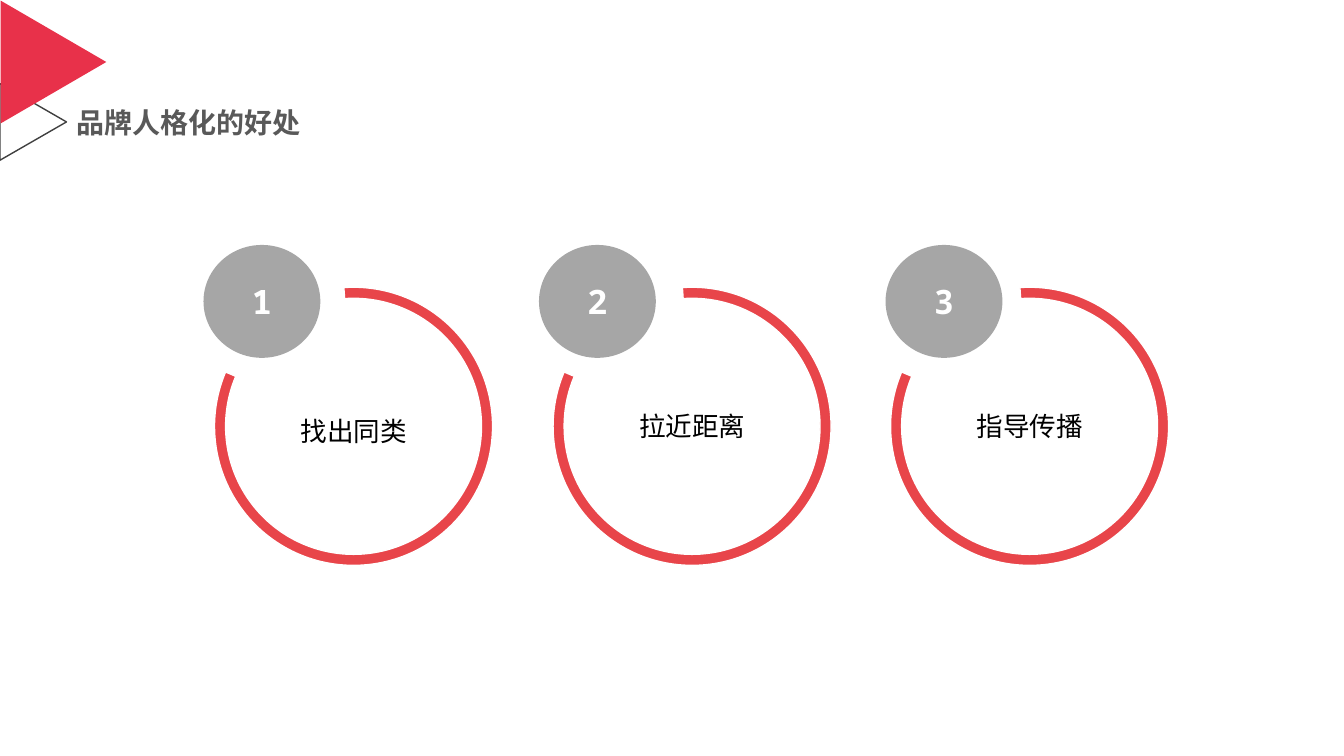
from lxml import etree
from pptx import Presentation
from pptx import util as u
from pptx.dml.color import RGBColor
from pptx.enum import shapes, text
from pptx.oxml.ns import qn

PX = 9144  # 100 px to the inch
DEGREE = 0.6  # one degree as a python-pptx adjustment value
RING_RED, MARK_RED = "E8454A", "E8314A"
GREY, WHITE, BLACK = "A6A6A6", "FFFFFF", "000000"

# number, left of badge, left of ring, label, label font, line spacing
BENEFITS = [
    ("1", 202, 213, "找出同类", "Lato", 1.3),
    ("2", 535, 549, "拉近距离", "Arial Narrow", 1.0),
    ("3", 879, 884, "指导传播", "Arial Narrow", 1.0),
]


def px(*lengths):
    return [u.Emu(length * PX) for length in lengths]


def rgb(value):
    return RGBColor.from_string(value)


def style(shape, fill=None, line=None):
    shape.shadow.inherit = False
    if fill:
        shape.fill.solid()
        shape.fill.fore_color.rgb = rgb(fill)
    else:
        shape.fill.background()
    if line:
        shape.line.color.rgb = rgb(line)
        shape.line.width = u.Pt(1)
    else:
        shape.line.fill.background()


def write(shape, words, font, size, color, bold=False, spacing=1.0,
          align=text.PP_ALIGN.CENTER, inset=(0, 0), wrap=True):
    """Fill a shape with one paragraph; inset is (sides, top and bottom)."""
    frame = shape.text_frame
    frame.word_wrap = wrap
    frame.vertical_anchor = text.MSO_ANCHOR.MIDDLE
    frame.margin_left = frame.margin_right = px(inset[0])[0]
    frame.margin_top = frame.margin_bottom = px(inset[1])[0]
    para = frame.paragraphs[0]
    para.text = words
    para.alignment = align
    para.line_spacing = spacing
    para.font.name = font
    para.font.size = u.Pt(size)
    para.font.bold = bold
    para.font.color.rgb = rgb(color)
    latin = para._p.pPr.find(qn("a:defRPr")).find(qn("a:latin"))
    east_asian = etree.Element(qn("a:ea"), typeface=font)
    latin.addnext(east_asian)


def add_triangle(page, left, top, width, height, **look):
    """Add a triangle that points right."""
    triangle = page.shapes.add_shape(
        shapes.MSO_SHAPE.ISOSCELES_TRIANGLE, *px(left, top, width, height))
    triangle.rotation = 90
    style(triangle, **look)


def add_title(page, words):
    title = page.shapes.title
    title.left, title.top, title.width, title.height = px(71, 103, 235, 41)
    write(title, words, "Noto Sans CJK SC", 20, "595959", bold=True,
          spacing=0.9, align=text.PP_ALIGN.LEFT, inset=(5, 5), wrap=False)
    title.text_frame.auto_size = text.MSO_AUTO_SIZE.SHAPE_TO_FIT_TEXT


def add_badge(page, left, number):
    badge = page.shapes.add_shape(
        shapes.MSO_SHAPE.OVAL, *px(left, 243, 116, 112))
    style(badge, fill=GREY)
    write(badge, number, "Noto Sans Mono", 24, WHITE, bold=True)


def add_open_ring(page, left, label, font, spacing):
    """Add a ring that is open at the upper left, with a label inside."""
    size, thickness = 276, 11
    ring = page.shapes.add_shape(
        shapes.MSO_SHAPE.BLOCK_ARC, *px(left, 285, size, size))
    ring.adjustments[0] = 266 * DEGREE
    ring.adjustments[1] = 203 * DEGREE
    ring.adjustments[2] = thickness / size
    style(ring, fill=RING_RED, line=WHITE)
    write(ring, label, font, 19, BLACK, spacing=spacing, inset=(31, 0))


def main():
    deck = Presentation()
    deck.slide_width, deck.slide_height = px(1334, 750)
    page = deck.slides.add_slide(deck.slide_layouts.get_by_name("Title Only"))
    add_triangle(page, -5, 88, 76, 66, line="404040")
    add_triangle(page, -8, 9, 122, 105, fill=MARK_RED)
    add_title(page, "品牌人格化的好处")
    for number, badge_left, ring_left, label, font, spacing in BENEFITS:
        add_badge(page, badge_left, number)
        add_open_ring(page, ring_left, label, font, spacing)
    deck.save("out.pptx")


if __name__ == "__main__":
    main()
